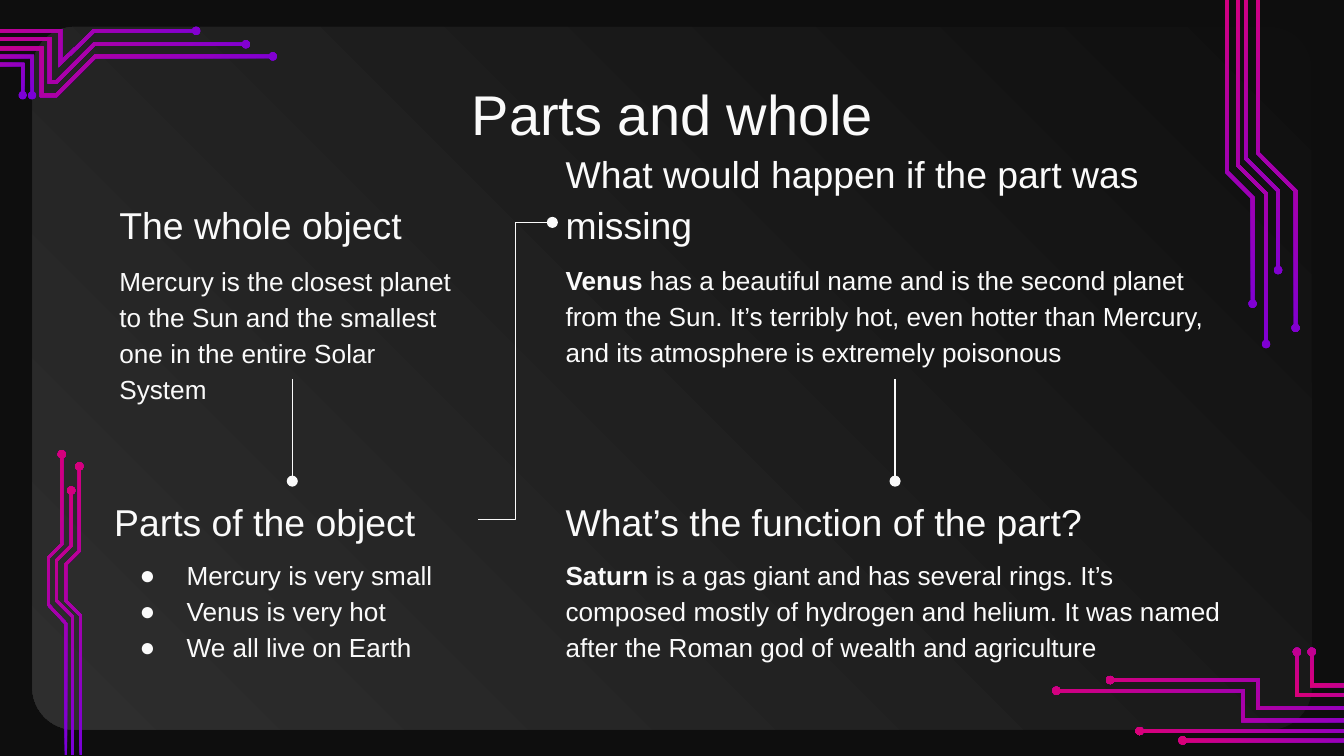
import math
from dataclasses import dataclass

from lxml import etree
from pptx import Presentation
from pptx import util as u
from pptx.dml.color import RGBColor
from pptx.enum import shapes, text
from pptx.oxml import ns


@dataclass(frozen=True)
class Theme:
    background: str = "0E0E0E"
    panel: tuple = ("0F0F0F", "2E2E2E")
    circuit: tuple = ("7800DA", "DA0078")
    ink: str = "FAFAFA"
    font: str = "Arial"
    title: int = 30
    heading: int = 20
    body: int = 14
    line_spacing: float = 1.15


THEME = Theme()

# Traces start at the dot; points are inches from the corner of their box
BOTTOM_RIGHT = [
    [(0.03, 0.32), (1.42, 0.32), (1.42, 0.54), (2.78, 0.54)],
    [(1.82, 0.03), (1.82, 0.35), (2.78, 0.35)],
    [(1.93, 0.03), (1.93, 0.28), (2.78, 0.28)],
    [(0.43, 0.24), (1.53, 0.24), (1.53, 0.45), (2.78, 0.45)],
    [(0.65, 0.62), (2.78, 0.62)],
    [(0.97, 0.69), (2.78, 0.69)],
]
TOP_LEFT = [
    [(0.86, 0.51), (0.86, 0.28), (0, 0.28)],
    [(0.93, 0.51), (0.93, 0.22), (0, 0.22)],
    [(2.15, 0.03), (1.39, 0.03), (1.14, 0.27), (1.14, 0.03), (0, 0.03)],
    [(2.72, 0.22), (1.4, 0.22), (1.11, 0.51), (1, 0.51), (1, 0.16), (0, 0.16)],
    [(2.52, 0.13), (1.39, 0.13), (1.11, 0.41), (1.06, 0.41), (1.06, 0.09), (0, 0.09)],
]
BOTTOM_LEFT = [
    [(0.11, 0.02), (0.11, 0.69), (0.01, 0.79), (0.01, 1.14), (0.14, 1.28), (0.14, 2.26)],
    [(0.24, 0.11), (0.24, 0.74), (0.14, 0.84), (0.14, 1.11), (0.25, 1.22), (0.25, 2.26)],
    [(0.18, 0.29), (0.18, 0.7), (0.07, 0.81), (0.07, 1.11), (0.19, 1.23), (0.19, 2.26)],
]
TOP_RIGHT = [
    [(0.2, 2.26), (0.2, 1.47), (0.01, 1.28), (0.01, 0)],
    [(0.39, 2.01), (0.39, 1.42), (0.15, 1.18), (0.15, 0)],
    [(0.3, 2.56), (0.3, 1.44), (0.09, 1.23), (0.09, 0)],
    [(0.52, 2.44), (0.52, 1.42), (0.24, 1.14), (0.24, 0)],
]


def rgb(value):
    return RGBColor.from_string(value)


def paint_gradient(shape, colors, angle):
    shape.shadow.inherit = False
    shape.line.fill.background()
    shape.fill.gradient()
    shape.fill.gradient_angle = angle
    for stop, color in zip(shape.fill.gradient_stops, colors):
        stop.color.rgb = rgb(color)


def trace_outline(points, half, radius):
    """Outline of a mitred band that starts in a round dot."""
    angles = [math.atan2(y2 - y1, x2 - x1)
              for (x1, y1), (x2, y2) in zip(points, points[1:])]
    sides = {1: [], -1: []}
    for (x, y), before, after in zip(points[1:], angles, angles[1:] + angles[-1:]):
        middle = 1 + math.cos(after - before)
        dx = -(math.sin(before) + math.sin(after)) / middle
        dy = (math.cos(before) + math.cos(after)) / middle
        for side, edge in sides.items():
            edge.append((x + side * half * dx, y + side * half * dy))
    gap = math.asin(half / radius)
    steps = 24
    sweep = [angles[0] + gap + (2 * math.pi - 2 * gap) * i / steps
             for i in range(steps + 1)]
    x, y = points[0]
    dot = [(x + radius * math.cos(a), y + radius * math.sin(a)) for a in sweep]
    return sides[1][::-1] + dot + sides[-1]


def add_circuit(slide, left, top, traces, angle, width=1.8, radius=0.03):
    for trace in traces:
        outline = [(u.Inches(left + x), u.Inches(top + y))
                   for x, y in trace_outline(trace, u.Pt(width).inches / 2, radius)]
        builder = slide.shapes.build_freeform(*outline[0])
        builder.add_line_segments(outline[1:], close=True)
        paint_gradient(builder.convert_to_shape(), THEME.circuit, angle)


def add_panel(slide, left, top, width, height):
    panel = slide.shapes.add_shape(
        shapes.MSO_SHAPE.ROUNDED_RECTANGLE, *map(u.Inches, (left, top, width, height)))
    panel.adjustments[0] = 0.06
    paint_gradient(panel, THEME.panel, 225)


def add_text(slide, box, paragraphs, size, anchor=text.MSO_ANCHOR.TOP,
             side=0.1, align=None, spacing=THEME.line_spacing, bullets=False):
    """Each paragraph is a list of (wording, bold) runs."""
    text_box = slide.shapes.add_textbox(*map(u.Inches, box))
    frame = text_box.text_frame
    frame.word_wrap = True
    frame.vertical_anchor = anchor
    frame.margin_left = frame.margin_right = u.Inches(side)
    frame.margin_top = frame.margin_bottom = u.Inches(0.1)
    for i, runs in enumerate(paragraphs):
        paragraph = frame.add_paragraph() if i else frame.paragraphs[0]
        paragraph.alignment = align
        paragraph.line_spacing = spacing
        if bullets:
            add_bullet(paragraph)
        for wording, bold in runs:
            run = paragraph.add_run()
            run.text = wording
            run.font.name, run.font.size = THEME.font, u.Pt(size)
            run.font.bold = bold
            run.font.color.rgb = rgb(THEME.ink)
    return text_box


def add_bullet(paragraph):
    props = paragraph._p.get_or_add_pPr()
    props.set("marL", str(u.Inches(0.5)))
    props.set("indent", str(u.Inches(-0.35)))
    color = etree.SubElement(props, ns.qn("a:buClr"))
    etree.SubElement(color, ns.qn("a:srgbClr"), val=THEME.ink)
    etree.SubElement(props, ns.qn("a:buFont"), typeface=THEME.font)
    etree.SubElement(props, ns.qn("a:buChar"), char="●")


def add_topic(slide, box, heading, paragraphs, body_top, side=0.1, bullets=False):
    """Heading with its text below; returns both boxes."""
    left, top, width, height = box
    title = add_text(slide, (left, top, width, 0.57), [[(heading, False)]],
                     THEME.heading, text.MSO_ANCHOR.BOTTOM, side)
    body = add_text(slide, (left, top + body_top, width, height - body_top),
                    paragraphs, THEME.body, bullets=bullets)
    return title, body


def connect(slide, kind, start, start_site, end, end_site):
    link = slide.shapes.add_connector(kind, 0, 0, 0, 0)
    link.begin_connect(start, start_site)
    link.end_connect(end, end_site)
    link.line.color.rgb = rgb(THEME.ink)
    link.line.width = u.Pt(0.75)
    etree.SubElement(link.line._get_or_add_ln(), ns.qn("a:tailEnd"), type="oval")
    etree.SubElement(link._element.spPr, ns.qn("a:effectLst"))


def add_topics(slide, left, top):
    """Two by two topics, linked in reading order."""
    narrow, wide = (left, 2.77), (left + 3.32, 5.1)
    upper, lower = (top, 1.45), (top + 2.21, 1.36)

    def cell(column, row):
        return column[0], row[0], column[1], row[1]

    _, whole_body = add_topic(slide, cell(narrow, upper), "The whole object", [[
        ("Mercury is the closest planet to the Sun and the smallest one in the "
         "entire Solar System", False)]], 0.47)
    missing, missing_body = add_topic(
        slide, cell(wide, upper), "What would happen if the part was missing", [[
            ("Venus", True),
            (" has a beautiful name and is the second planet from the Sun. It’s terribly "
             "hot, even hotter than Mercury, and its atmosphere is extremely poisonous",
             False)]], 0.46)
    parts, _ = add_topic(slide, cell(narrow, lower), "Parts of the object", [
        [(part, False)] for part in
        ("Mercury is very small", "Venus is very hot", "We all live on Earth")],
        0.45, side=0.06, bullets=True)
    function, _ = add_topic(slide, cell(wide, lower), "What’s the function of the part?", [[
        ("Saturn ", True),
        ("is a gas giant and has several rings. It’s composed mostly of hydrogen and "
         "helium. It was named after the Roman god of wealth and agriculture", False)]], 0.45)

    straight, elbow = shapes.MSO_CONNECTOR.STRAIGHT, shapes.MSO_CONNECTOR.ELBOW
    connect(slide, straight, whole_body, 2, parts, 0)
    connect(slide, elbow, parts, 3, missing, 1)
    connect(slide, straight, missing_body, 2, function, 0)


def main():
    deck = Presentation()
    deck.slide_width = u.Inches(10)
    deck.slide_height = deck.slide_width * 9 // 16
    slide = deck.slides.add_slide(deck.slide_layouts[6])
    slide.background.fill.solid()
    slide.background.fill.fore_color.rgb = rgb(THEME.background)

    # Backdrop
    add_panel(slide, 0.24, 0.2, 9.52, 5.23)
    add_circuit(slide, 7.83, 4.82, BOTTOM_RIGHT, 225)
    add_circuit(slide, -0.69, 0.2, TOP_LEFT, 135)

    # Content
    add_text(slide, (0.79, 0.49, 8.43, 0.63), [[("Parts and whole", False)]],
             THEME.title, align=text.PP_ALIGN.CENTER, spacing=1.0)
    add_topics(slide, 0.79, 1.37)

    # Circuits in front
    add_circuit(slide, 0.35, 3.36, BOTTOM_LEFT, 135, width=1.4)
    add_circuit(slide, 9.12, 0, TOP_RIGHT, 45)

    deck.save("out.pptx")


if __name__ == "__main__":
    main()
